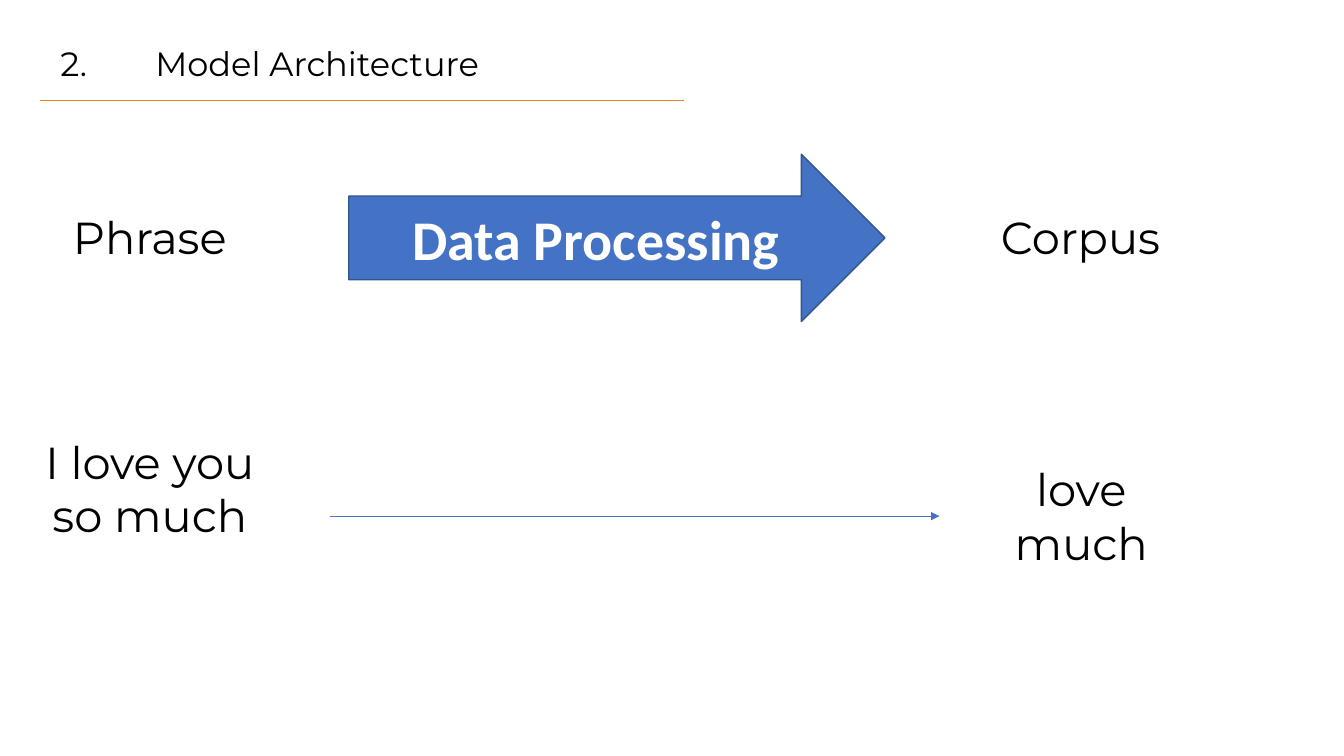
from lxml import etree
from pptx import Presentation
from pptx.dml.color import RGBColor
from pptx.enum.shapes import MSO_CONNECTOR, MSO_SHAPE
from pptx.enum.text import MSO_ANCHOR, MSO_AUTO_SIZE, PP_ALIGN
from pptx.oxml.ns import qn
from pptx.util import Inches, Pt

BLACK = RGBColor(0x00, 0x00, 0x00)
WHITE = RGBColor(0xFF, 0xFF, 0xFF)
BLUE = RGBColor(0x44, 0x72, 0xC4)
DARK_BLUE = RGBColor(0x32, 0x54, 0x91)
ORANGE = RGBColor(0xED, 0x7D, 0x31)

# All lengths are percentages of the slide's width or height.
SECTION = {"title": "Model Architecture", "number": 2, "box": (0, 2.4, 37.4, 8.4)}
UNDERLINE = {"left": 3, "right": 50.86, "y": 13.33}
STAGE_Y, EXAMPLE_Y = 31.47, 68.27  # row centres
LABELS = [  # text, row centre, left, width, height
    ("Phrase", STAGE_Y, 2.4, 17.5, 8.8),
    ("Corpus", STAGE_Y, 63.2, 34.4, 8.8),
    ("I love you so much", EXAMPLE_Y, 2.4, 17.5, 22.93),
    ("love much", EXAMPLE_Y, 71.7, 17.5, 15.73),
]
PROCESS = {"text": "Data Processing", "left": 25.95, "width": 39.9, "height": 22.13}
FLOW = {"left": 24.53, "right": 69.9}

prs = Presentation()
prs.slide_width, prs.slide_height = Inches(13.33), Inches(7.5)
slide = prs.slides.add_slide(prs.slide_layouts[5])
shapes = slide.shapes


def across(share):
    return round(prs.slide_width * share / 100)


def down(share):
    return round(prs.slide_height * share / 100)


def area(left, top, width, height):
    return across(left), down(top), across(width), down(height)


def row_area(centre, left, width, height):
    """Area whose vertical middle lies on a row centre."""
    return area(left, centre - height / 2, width, height)


def write(shape, text, size=32, font="Montserrat", color=BLACK, bold=False,
          align=PP_ALIGN.CENTER, anchor=MSO_ANCHOR.TOP, spacing=1.0):
    frame = shape.text_frame
    frame.word_wrap = True
    frame.auto_size = MSO_AUTO_SIZE.NONE
    frame.vertical_anchor = anchor
    paragraph = frame.paragraphs[0]
    paragraph.alignment = align
    paragraph.line_spacing = spacing
    run = paragraph.add_run()
    run.text = text
    run.font.size, run.font.name, run.font.bold = Pt(size), font, bold
    run.font.color.rgb = color
    return paragraph


def number_paragraph(paragraph, start, margin, hanging):
    props = paragraph._p.get_or_add_pPr()
    props.set("marL", str(Inches(margin)))
    props.set("indent", str(-Inches(hanging)))
    etree.SubElement(props, qn("a:buFont"), typeface="+mj-lt")
    etree.SubElement(props, qn("a:buAutoNum"), type="arabicPeriod", startAt=str(start))


def add_rule(left, right, y, color, arrow=False):
    rule = shapes.add_connector(MSO_CONNECTOR.STRAIGHT, across(left), down(y),
                                across(right), down(y))
    rule.line.color.rgb = color
    rule.line.width = Pt(0.5)
    if arrow:
        etree.SubElement(rule.line._get_or_add_ln(), qn("a:tailEnd"), type="triangle")
    etree.SubElement(rule._element.spPr, qn("a:effectLst"))


heading = shapes.title
heading.left, heading.top, heading.width, heading.height = area(*SECTION["box"])
heading_line = write(heading, SECTION["title"], size=24, align=PP_ALIGN.LEFT, spacing=1.5)
number_paragraph(heading_line, SECTION["number"], margin=1.44, hanging=0.94)
add_rule(UNDERLINE["left"], UNDERLINE["right"], UNDERLINE["y"], ORANGE)

for label, centre, left, width, height in LABELS:
    write(shapes.add_textbox(*row_area(centre, left, width, height)), label)

process = shapes.add_shape(
    MSO_SHAPE.RIGHT_ARROW,
    *row_area(STAGE_Y, PROCESS["left"], PROCESS["width"], PROCESS["height"]))
process.shadow.inherit = False
process.fill.solid()
process.fill.fore_color.rgb = BLUE
process.line.color.rgb = DARK_BLUE
process.line.width = Pt(1)
write(process, PROCESS["text"], size=40, font="Calibri", color=WHITE, bold=True,
      anchor=MSO_ANCHOR.MIDDLE)

add_rule(FLOW["left"], FLOW["right"], EXAMPLE_Y, BLUE, arrow=True)

prs.save("out.pptx")
